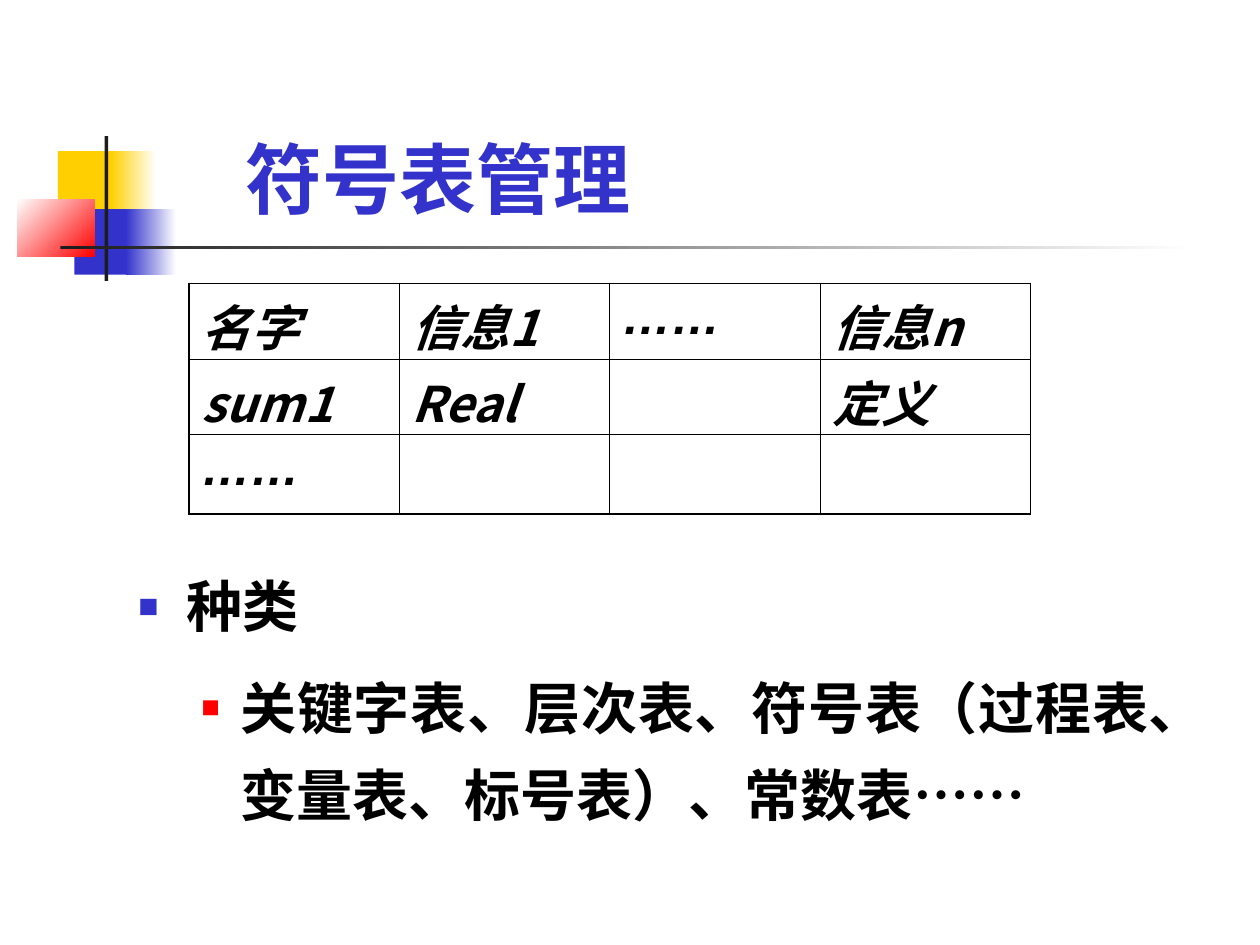
"""Build the symbol table management slide."""
from lxml.etree import SubElement
from pptx import Presentation
from pptx.dml.color import RGBColor
from pptx.enum.shapes import MSO_SHAPE
from pptx.enum.text import MSO_ANCHOR, MSO_AUTO_SIZE, PP_ALIGN
from pptx.oxml.ns import qn
from pptx.util import Inches, Pt

THEME = {
    "yellow": "FFCF01", "blue": "3333CC", "red": "FF0000",
    "dark": "1C1C1C", "black": "000000", "white": "FFFFFF",
    "font": "Noto Sans CJK JP", "cell_dots": "Arial", "body_dots": "Courier New",
    "title_size": 44, "body_size": 32, "cell_size": 28,
    "inner_line": 0.45, "outer_line": 1.08,
}
DOTS = "……"
TITLE = "符号表管理"
ROWS = [
    ["名字", "信息1", DOTS, "信息n"],
    ["sum1", "Real", "", "定义"],
    [DOTS, "", "", ""],
]
ROW_HEIGHTS = [0.6, 0.6, 0.63]
COLUMN_WIDTH = 1.67
BULLETS = [
    (["种类"], 0.38, 0.38, "blue", 60),
    (["关键字表、层次表、符号表（过程表、变量表、标号表）、常数表", DOTS], 0.81, 0.31, "red", 55),
]
ORNAMENTS = [
    ((0.46, 1.2, 0.48, 0.52), ["yellow"], 0),
    ((0.88, 1.2, 0.36, 0.52), ["yellow", "white"], 0),
    ((0.59, 1.66, 0.46, 0.52), ["blue"], 0),
    ((1, 1.66, 0.4, 0.52), ["blue", "white"], 0),
    ((0.14, 1.58, 0.61, 0.46), ["white", "red"], 45),
    ((0.83, 1.08, 0.03, 1.15), ["dark"], 0),
    ((0.48, 1.95, 9, 0.03), ["dark", "white"], 0),
]


def color(name):
    return RGBColor.from_string(THEME[name])


def add_run(paragraph, text, size, ink="black", font="font", italic=False):
    run = paragraph.add_run()
    run.text = text
    run.font.size = Pt(THEME[size])
    run.font.bold = True
    run.font.italic = italic
    run.font.color.rgb = color(ink)
    run.font.name = THEME[font]
    SubElement(run.font._element, qn("a:ea"), typeface=THEME["font"])


def indent(paragraph, left, hanging=0):
    props = paragraph._p.get_or_add_pPr()
    props.set("marL", str(Inches(left)))
    props.set("indent", str(-Inches(hanging)))
    return props


def add_ornament(slide, box, colors, angle):
    ornament = slide.shapes.add_shape(MSO_SHAPE.RECTANGLE, *map(Inches, box))
    ornament.shadow.inherit = False
    ornament.line.fill.background()
    if len(colors) == 1:
        ornament.fill.solid()
        ornament.fill.fore_color.rgb = color(colors[0])
        return
    ornament.fill.gradient()
    ornament.fill.gradient_angle = -angle % 360
    for stop, name in zip(ornament.fill.gradient_stops, colors):
        stop.color.rgb = color(name)


def fill_title(slide):
    title = slide.shapes.title
    title.left, title.top, title.width, title.height = map(Inches, (1.17, 0.58, 8.5, 1.25))
    frame = title.text_frame
    frame.auto_size = MSO_AUTO_SIZE.NONE
    frame.vertical_anchor = MSO_ANCHOR.BOTTOM
    heading = frame.paragraphs[0]
    heading.alignment = PP_ALIGN.JUSTIFY
    indent(heading, 0.68)
    add_run(heading, TITLE, "title_size", "blue")


def border_cell(cell, outer_sides):
    props = cell._tc.get_or_add_tcPr()
    for side, is_outer in outer_sides.items():
        width = THEME["outer_line" if is_outer else "inner_line"]
        edge = SubElement(props, qn(f"a:ln{side}"), w=str(Pt(width)))
        SubElement(SubElement(edge, qn("a:solidFill")), qn("a:srgbClr"), val=THEME["black"])
    cell.fill.background()


def add_symbol_table(slide):
    row_count, column_count = len(ROWS), len(ROWS[0])
    box = (1.5, 2.25, COLUMN_WIDTH * column_count, sum(ROW_HEIGHTS))
    table = slide.shapes.add_table(row_count, column_count, *map(Inches, box)).table
    table.first_row = table.horz_banding = False
    for column in table.columns:
        column.width = Inches(COLUMN_WIDTH)
    for r, (words, height) in enumerate(zip(ROWS, ROW_HEIGHTS)):
        table.rows[r].height = Inches(height)
        for c, word in enumerate(words):
            cell = table.cell(r, c)
            border_cell(cell, {"L": c == 0, "R": c == column_count - 1,
                               "T": r == 0, "B": r == row_count - 1})
            if word:
                entry = cell.text_frame.paragraphs[0]
                entry.space_before = Pt(7)
                font = "cell_dots" if word == DOTS else "font"
                add_run(entry, word, "cell_size", font=font, italic=True)


def add_kinds(slide):
    kinds = slide.shapes.add_textbox(*map(Inches, (1, 4.33, 8.67, 2.67))).text_frame
    kinds.word_wrap = True
    for i, (texts, left, hanging, ink, percent) in enumerate(BULLETS):
        item = kinds.add_paragraph() if i else kinds.paragraphs[0]
        item.level = i
        item.alignment = PP_ALIGN.JUSTIFY
        item.line_spacing = 1.3
        item.space_before = Pt(8)
        props = indent(item, left, hanging)
        SubElement(SubElement(props, qn("a:buClr")), qn("a:srgbClr"), val=THEME[ink])
        SubElement(props, qn("a:buSzPct"), val=str(percent * 1000))
        SubElement(props, qn("a:buFont"), typeface="Arial")
        SubElement(props, qn("a:buChar"), char="■")
        for text in texts:
            add_run(item, text, "body_size", font="body_dots" if text == DOTS else "font")


def main():
    deck = Presentation()
    deck.slide_width, deck.slide_height = Inches(10), Inches(7.5)
    slide = deck.slides.add_slide(deck.slide_layouts[5])
    for ornament in ORNAMENTS:
        add_ornament(slide, *ornament)
    fill_title(slide)
    add_kinds(slide)
    add_symbol_table(slide)
    deck.save("out.pptx")


if __name__ == "__main__":
    main()
